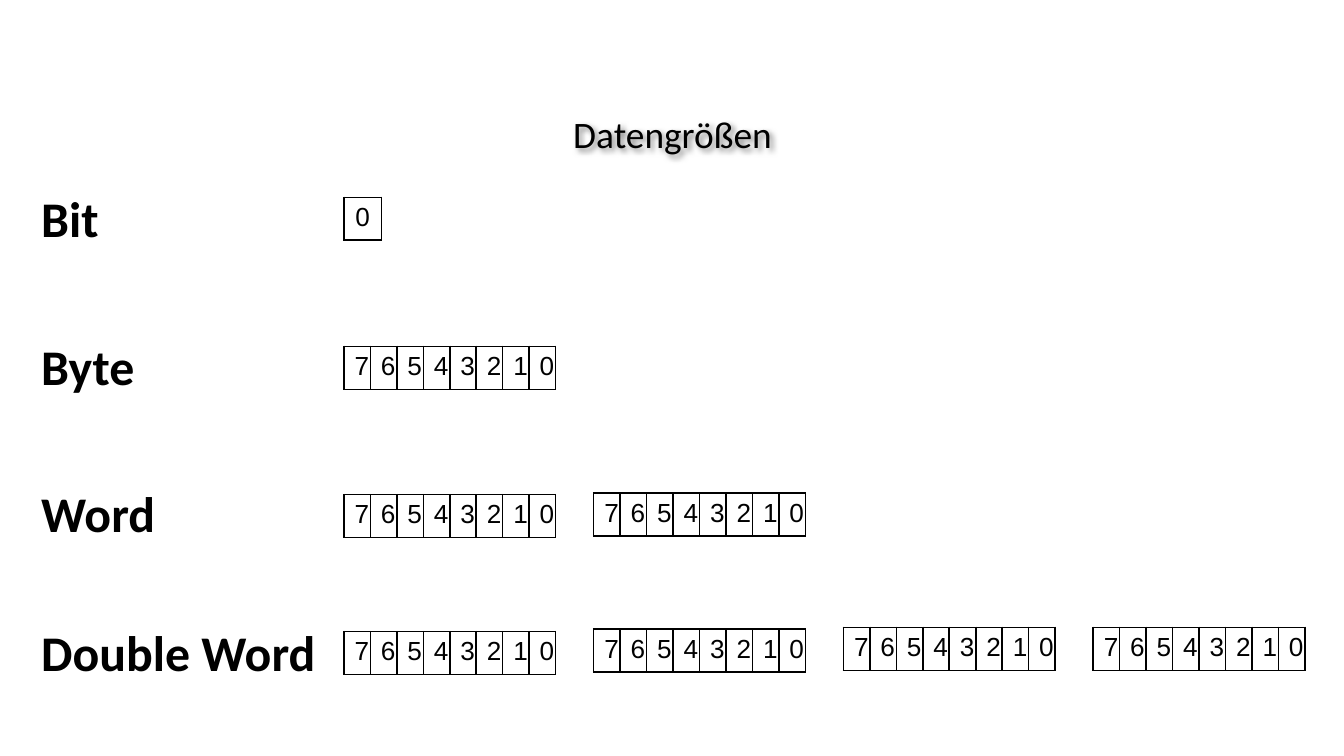
import pptx
import pptx.dml.color
import pptx.enum.text
import pptx.oxml
import pptx.oxml.ns
import pptx.util

Cm = pptx.util.Cm
Pt = pptx.util.Pt
ALIGN = pptx.enum.text.PP_ALIGN
NAMESPACE = pptx.oxml.ns.nsdecls("a")

COLOURS = {"ink": "000000", "shadow": "808080"}

TITLE_FONT = {"name": "Calibri", "size": Pt(20), "bold": False}
LABEL_FONT = {"name": "Calibri", "size": Pt(26.7), "bold": True}
DIGIT_FONT = {"name": "Arial", "size": Pt(14), "bold": False}
CELL_FORMAT = {
    "margin_left": Cm(0.2),
    "margin_right": Cm(0.2),
    "margin_top": Cm(0.1),
    "margin_bottom": Cm(0.1),
}

# Bit strips: first left edge, distance between strips, cell sizes in cm
STRIP_LEFT, STRIP_PITCH = 6.5, 4.72
BIT_WIDTH, SINGLE_WIDTH, CELL_HEIGHT = 0.47, 0.71, 0.81

# Label, label top, label width, bits per strip, top of each strip
SIZES = [
    ("Bit", 3.43, 1.98, 1, [3.73]),
    ("Byte", 6.22, 2.79, 8, [6.55]),
    ("Word", 8.99, 2.79, 8, [9.35, 9.32]),
    ("Double Word", 11.63, 5.87, 8, [11.94, 11.89, 11.86, 11.86]),
]


def apply_format(target, values):
    for name, value in values.items():
        setattr(target, name, value)


def write_text(frame, text, font, align):
    para = frame.paragraphs[0]
    para.alignment = align
    span = para.add_run()
    span.text = text
    apply_format(span.font, font)
    span.font.color.rgb = pptx.dml.color.RGBColor.from_string(COLOURS["ink"])


def add_title(page, text):
    title = page.shapes.title
    apply_format(title, {"left": Cm(5.1), "top": Cm(1.98),
                         "width": Cm(15.22), "height": Cm(1.12)})
    apply_format(title.text_frame, {
        "word_wrap": True,
        "auto_size": pptx.enum.text.MSO_AUTO_SIZE.SHAPE_TO_FIT_TEXT,
        "vertical_anchor": pptx.enum.text.MSO_ANCHOR.TOP,
    })
    write_text(title.text_frame, text, TITLE_FONT, ALIGN.CENTER)
    # Soft shadow behind the letters
    title._element.spPr.append(pptx.oxml.parse_xml(
        f'<a:effectLst {NAMESPACE}><a:outerShdw blurRad="38100" dist="25400" '
        f'dir="2700000"><a:srgbClr val="{COLOURS["shadow"]}"/>'
        '</a:outerShdw></a:effectLst>'))


def add_label(page, text, top, width):
    box = page.shapes.add_textbox(Cm(0.53), Cm(top), Cm(width), Cm(1.45))
    box.text_frame.word_wrap = True
    write_text(box.text_frame, text, LABEL_FONT, ALIGN.LEFT)


def add_borders(cell):
    properties = cell._tc.get_or_add_tcPr()
    for side in ("lnL", "lnR", "lnT", "lnB"):
        properties.append(pptx.oxml.parse_xml(
            f'<a:{side} {NAMESPACE} w="12700"><a:solidFill>'
            f'<a:srgbClr val="{COLOURS["ink"]}"/></a:solidFill></a:{side}>'))


def add_strip(page, left, top, bits):
    """Draw one row of numbered bits, highest bit first."""
    width = SINGLE_WIDTH if bits == 1 else BIT_WIDTH
    table = page.shapes.add_table(
        1, bits, Cm(left), Cm(top), Cm(width * bits), Cm(CELL_HEIGHT)).table
    apply_format(table, {"first_row": False, "horz_banding": False})
    for column, bit in enumerate(reversed(range(bits))):
        table.columns[column].width = Cm(width)
        cell = table.cell(0, column)
        apply_format(cell, CELL_FORMAT)
        add_borders(cell)
        cell.fill.background()
        write_text(cell.text_frame, str(bit), DIGIT_FONT, ALIGN.CENTER)


def main():
    deck = pptx.Presentation()
    deck.slide_width, deck.slide_height = Cm(25.4), Cm(14.29)
    page = deck.slides.add_slide(deck.slide_layouts[5])

    add_title(page, "Datengrößen")
    for name, label_top, label_width, bits, strip_tops in SIZES:
        add_label(page, name, label_top, label_width)
        for index, top in enumerate(strip_tops):
            add_strip(page, STRIP_LEFT + index * STRIP_PITCH, top, bits)

    deck.save("out.pptx")


if __name__ == "__main__":
    main()
